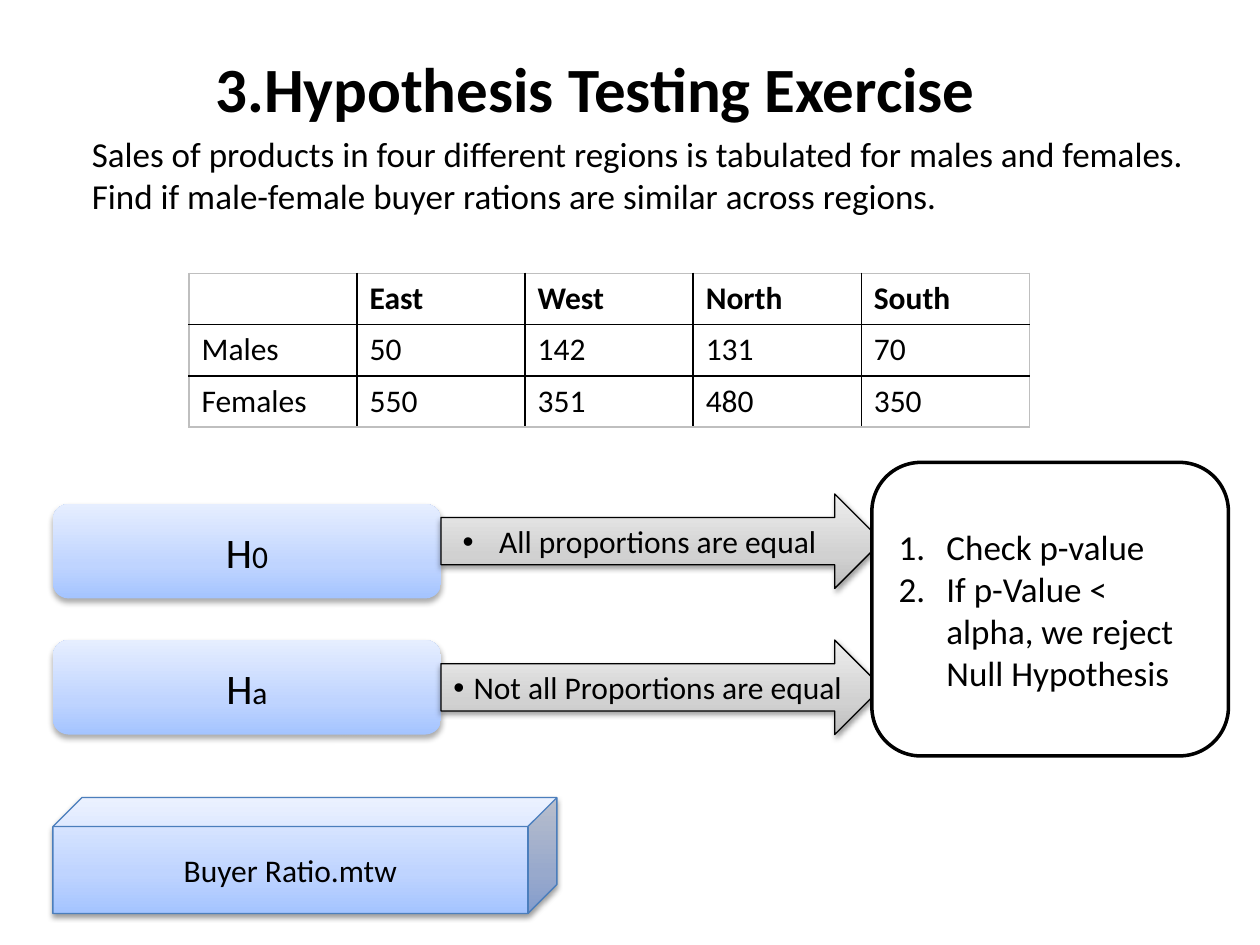
from lxml import etree
from pptx import Presentation
from pptx import util as u
from pptx.dml.color import RGBColor
from pptx.enum import shapes, text
from pptx.oxml.ns import qn

BLACK, WHITE, EDGE_GREY = "000000", "FFFFFF", "BFBFBF"
BLUE_STOPS = [(0, "A4C4FF"), (35, "BFD4FF"), (100, "E6EEFF")]
GREY_STOPS = [(0, "BDBDBD"), (35, "D1D1D1"), (100, "EEEEEE")]
SOFT_SHADOW = dict(alpha=32, blur=3.5, distance=2.2)
FIRM_SHADOW = dict(alpha=38, blur=3.1, distance=1.6)
SALES = [
    ["", "East", "West", "North", "South"],
    ["Males", "50", "142", "131", "70"],
    ["Females", "550", "351", "480", "350"],
]


def color(value):
    return RGBColor.from_string(value)


def add_xml(parent, tag, **attributes):
    values = {name: str(value) for name, value in attributes.items()}
    return etree.SubElement(parent, qn(tag), values)


def add_xml_color(parent, value):
    return add_xml(parent, "a:srgbClr", val=value)


def write(paragraph, words, size=18, bold=False, align=text.PP_ALIGN.LEFT,
          margin=0, hanging=0, bullet=None, number=None):
    """Append a run to the paragraph and set its format; margins are in inches."""
    run = paragraph.add_run()
    run.text = words
    run.font.name = "Calibri"
    run.font.size = u.Pt(size)
    run.font.bold = bold
    run.font.color.rgb = color(BLACK)
    paragraph.alignment = align
    properties = paragraph._p.get_or_add_pPr()
    if margin:
        properties.set("marL", str(u.Inches(margin)))
        properties.set("indent", str(-u.Inches(hanging)))
    if bullet:
        add_xml(properties, "a:buFont", typeface="Arial")
        add_xml(properties, "a:buChar", char=bullet)
    if number:
        add_xml(properties, "a:buFont", typeface="+mj-lt")
        add_xml(properties, "a:buAutoNum", type=number)


def add_text_box(slide, box, words, inset=0.1, anchor=text.MSO_ANCHOR.TOP, **format):
    frame = slide.shapes.add_textbox(*map(u.Inches, box)).text_frame
    frame.word_wrap = True
    frame.margin_left = u.Inches(inset)
    frame.vertical_anchor = anchor
    write(frame.paragraphs[0], words, **format)


def add_panel(slide, kind, box, stops=None, line=None, line_width=0.75, shadow=None):
    """Add a preset shape, filled with a bottom-to-top gradient or with white."""
    shape = slide.shapes.add_shape(kind, *map(u.Inches, box))
    if stops:
        shape.fill.gradient()
        shape.fill.gradient_angle = 90
        stop_list = shape._element.spPr.find(".//" + qn("a:gsLst"))
        for old_stop in list(stop_list):
            stop_list.remove(old_stop)
        for position, value in stops:
            add_xml_color(add_xml(stop_list, "a:gs", pos=position * 1000), value)
    else:
        shape.fill.solid()
        shape.fill.fore_color.rgb = color(WHITE)
    if line:
        shape.line.color.rgb = color(line)
        shape.line.width = u.Pt(line_width)
    else:
        shape.line.fill.background()
    shape.shadow.inherit = False
    if shadow:
        effects = shape._element.spPr.find(qn("a:effectLst"))
        outer = add_xml(effects, "a:outerShdw", blurRad=u.Pt(shadow["blur"]),
                        dist=u.Pt(shadow["distance"]), dir=90 * 60000, rotWithShape=0)
        add_xml(add_xml_color(outer, BLACK), "a:alpha", val=shadow["alpha"] * 1000)
    shape.text_frame.word_wrap = True
    shape.text_frame.vertical_anchor = text.MSO_ANCHOR.MIDDLE
    return shape


def set_borders(cell, edges):
    properties = cell._tc.get_or_add_tcPr()
    for position, (side, value) in enumerate(edges.items()):
        border = etree.Element(qn("a:ln" + side), {"w": str(u.Pt(1))})
        add_xml_color(add_xml(border, "a:solidFill"), value)
        properties.insert(position, border)


def add_sales_table(slide, box):
    row_count, column_count = len(SALES), len(SALES[0])
    table = slide.shapes.add_table(row_count, column_count, *map(u.Inches, box)).table
    table.first_row = table.horz_banding = False
    for r, row in enumerate(SALES):
        for c, words in enumerate(row):
            cell = table.cell(r, c)
            cell.fill.background()
            outer = {"L": c == 0, "R": c == column_count - 1,
                     "T": r == 0, "B": r == row_count - 1}
            set_borders(cell, {side: EDGE_GREY if is_outer else BLACK
                               for side, is_outer in outer.items()})
            if words:
                write(cell.text_frame.paragraphs[0], words, bold=r == 0)


def add_hypothesis(slide, box, subscript):
    shape = add_panel(slide, shapes.MSO_SHAPE.ROUNDED_RECTANGLE, box,
                      stops=BLUE_STOPS, shadow=SOFT_SHADOW)
    paragraph = shape.text_frame.paragraphs[0]
    write(paragraph, "H", size=24, align=text.PP_ALIGN.CENTER)
    write(paragraph, subscript, align=text.PP_ALIGN.CENTER)


def add_claim_arrow(slide, box, words, bullet_gap):
    shape = add_panel(slide, shapes.MSO_SHAPE.RIGHT_ARROW, box,
                      stops=GREY_STOPS, line=BLACK, shadow=FIRM_SHADOW)
    frame = shape.text_frame
    frame.margin_left = u.Inches(0.05)
    frame.margin_right = u.Inches(bullet_gap - 0.08)
    write(frame.paragraphs[0], words, align=text.PP_ALIGN.CENTER,
          margin=bullet_gap, hanging=bullet_gap, bullet="•")


def add_decision_steps(slide, box, steps):
    shape = add_panel(slide, shapes.MSO_SHAPE.ROUNDED_RECTANGLE, box,
                      line=BLACK, line_width=2)
    frame = shape.text_frame
    for index, step in enumerate(steps):
        paragraph = frame.add_paragraph() if index else frame.paragraphs[0]
        write(paragraph, step, size=20, margin=0.38, hanging=0.38,
              number="arabicPeriod")


def add_data_file(slide, box, name):
    shape = add_panel(slide, shapes.MSO_SHAPE.CUBE, box, stops=BLUE_STOPS,
                      line="4B7EBC", shadow=FIRM_SHADOW)
    write(shape.text_frame.paragraphs[0], name, align=text.PP_ALIGN.CENTER)


def main():
    presentation = Presentation()
    presentation.slide_width, presentation.slide_height = u.Inches(10), u.Inches(7.5)
    slide = presentation.slides.add_slide(presentation.slide_layouts[6])

    add_text_box(slide, (0.5, 0.3, 9, 0.78), "3.Hypothesis Testing Exercise",
                 inset=1.21, anchor=text.MSO_ANCHOR.MIDDLE, size=36, bold=True)
    add_text_box(slide, (0.25, 1, 9.58, 6.25),
                 "Sales of products in four different regions is tabulated for males "
                 "and females. Find if male-female buyer rations are similar across "
                 "regions.", size=20, margin=0.38)
    add_sales_table(slide, (1.5, 2.17, 6.67, 1.22))

    add_hypothesis(slide, (0.42, 4, 3.08, 0.75), "0")
    add_hypothesis(slide, (0.42, 5.08, 3.08, 0.75), "a")
    add_claim_arrow(slide, (3.5, 3.92, 3.5, 0.75), "All proportions are equal", 0.29)
    add_claim_arrow(slide, (3.5, 5.08, 3.5, 0.75), "Not all Proportions are equal", 0.16)
    add_decision_steps(slide, (6.92, 3.67, 2.83, 2.33), [
        "Check p-value", "If p-Value < alpha, we reject Null Hypothesis"])
    add_data_file(slide, (0.42, 6.33, 4, 0.92), "Buyer Ratio.mtw")

    presentation.save("out.pptx")


if __name__ == "__main__":
    main()
